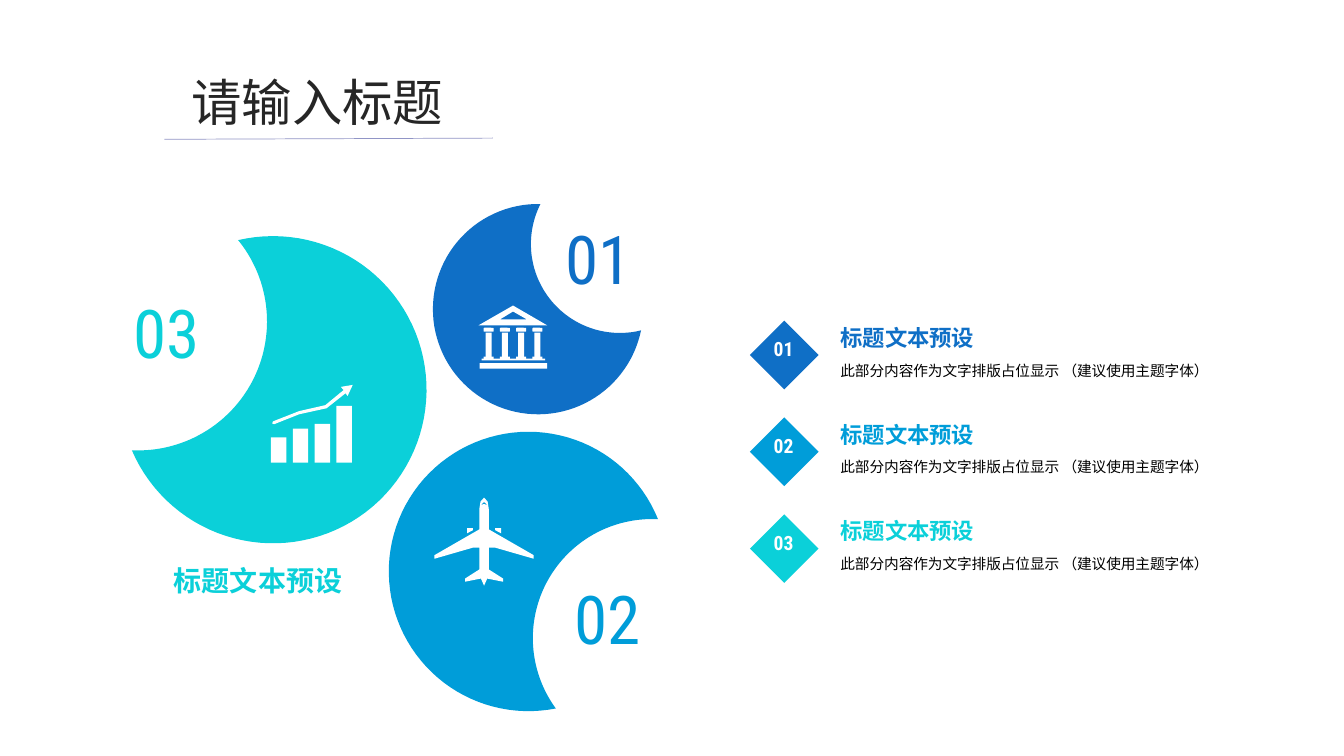
from dataclasses import dataclass
from math import acos, atan2, cos, hypot, pi, sin

from lxml.etree import SubElement
from pptx import Presentation
from pptx.dml.color import RGBColor
from pptx.enum.shapes import MSO_CONNECTOR as Connector, MSO_SHAPE as Shape
from pptx.enum.text import MSO_ANCHOR as Anchor, MSO_AUTO_SIZE as AutoSize, PP_ALIGN as Align
from pptx.oxml.ns import qn
from pptx.util import Cm, Pt


@dataclass(frozen=True)
class Theme:
    blue: str = "0F6FC6"
    azure: str = "009DD9"
    teal: str = "0BD0D9"
    white: str = "FFFFFF"
    black: str = "000000"
    title: str = "262626"
    rule: str = "9195C6"
    cjk_font: str = "Noto Sans CJK JP"
    body_font: str = "Calibri"
    number_font: str = "Roboto Condensed"
    title_size: float = 36
    number_size: float = 48
    caption_size: float = 20
    heading_size: float = 16
    badge_size: float = 14
    body_size: float = 10.5


THEME = Theme()
HEADING = "标题文本预设"
BODY = "此部分内容作为文字排版占位显示 （建议使用主题字体）"


# Text
def write(frame, text, size, color, font, bold=False, align=Align.LEFT, anchor=Anchor.TOP,
          wrap=False, insets=(0, 0, 0, 0), spacing=None):
    frame.word_wrap = wrap
    frame.auto_size = AutoSize.NONE
    frame.vertical_anchor = anchor
    frame.margin_left, frame.margin_top, frame.margin_right, frame.margin_bottom = map(Cm, insets)
    para = frame.paragraphs[0]
    para.alignment = align
    if spacing:
        para.line_spacing = spacing
    span = para.add_run()
    span.text = text
    span.font.size = Pt(size)
    span.font.bold = bold
    span.font.color.rgb = RGBColor.from_string(color)
    span.font.name = font
    SubElement(span.font._element, qn("a:ea"), typeface=THEME.cjk_font)


def add_text(page, place, text, size, color, font, **style):
    box = page.shapes.add_textbox(*map(Cm, place))
    write(box.text_frame, text, size, color, font, **style)


# Shapes
def paint(shape, color):
    shape.shadow.inherit = False
    shape.fill.solid()
    shape.fill.fore_color.rgb = RGBColor.from_string(color)
    shape.line.fill.background()


def add_block(page, place, color, kind=Shape.RECTANGLE):
    paint(page.shapes.add_shape(kind, *map(Cm, place)), color)


def add_outline(page, color, *contours):
    contours = [[(Cm(x), Cm(y)) for x, y in points] for points in contours]
    first, *holes = contours
    builder = page.shapes.build_freeform(*first[0])
    builder.add_line_segments(first[1:], close=True)
    for hole in holes:
        builder.move_to(*hole[0])
        builder.add_line_segments(hole[1:], close=True)
    paint(builder.convert_to_shape(), color)


def arc(center, radius, start, end, steps=80):
    angles = [start + (end - start) * step / steps for step in range(steps + 1)]
    return [(center[0] + radius * cos(a), center[1] + radius * sin(a)) for a in angles]


def add_crescent(page, color, disc, radius, bite, bite_radius):
    """Draw a disc with a second disc cut out of it."""
    dx, dy = bite[0] - disc[0], bite[1] - disc[1]
    gap, toward = hypot(dx, dy), atan2(dy, dx)
    outer = acos((radius**2 + gap**2 - bite_radius**2) / (2 * radius * gap))
    inner = acos((bite_radius**2 + gap**2 - radius**2) / (2 * bite_radius * gap))
    back = toward + pi
    rim = arc(disc, radius, toward + outer, toward + 2 * pi - outer)
    cut = arc(bite, bite_radius, back + inner, back - inner)
    add_outline(page, color, rim + cut[1:-1])


# Icons
def add_growth_icon(page):
    add_outline(page, THEME.white, [
        (6.91, 10.69), (7.54, 10.44), (8.23, 10.29), (8.71, 9.91), (8.76, 9.98), (8.89, 9.7),
        (8.59, 9.75), (8.66, 9.83), (8.2, 10.21), (7.54, 10.36), (6.88, 10.62), (6.86, 10.67)])
    for index, height in enumerate((0.64, 0.86, 0.98, 1.43)):
        add_block(page, (6.83 + 0.55 * index, 11.66 - height, 0.39, height), THEME.white)


def add_bank_icon(page):
    add_outline(page, THEME.white,
                [(12.93, 7.7), (12.06, 8.2), (13.79, 8.2)],
                [(12.93, 7.85), (13.28, 8.05), (12.6, 8.05)])
    for index in range(4):
        left = 12.19 + 0.41 * index
        add_block(page, (left, 8.26, 0.25, 0.1), THEME.white, Shape.ROUNDED_RECTANGLE)
        add_block(page, (left + 0.05, 8.38, 0.15, 0.63), THEME.white)
        add_block(page, (left, 8.99, 0.25, 0.07), THEME.white)
    add_block(page, (12.14, 9.04, 1.6, 0.04), THEME.white)
    add_block(page, (12.09, 9.15, 1.7, 0.14), THEME.white)


def add_plane_icon(page):
    axis = 12.2
    half = [(0, 12.54), (0.09, 12.64), (0.12, 12.83), (0.12, 13.34), (1.25, 13.99),
            (1.25, 14.08), (0.28, 13.8), (0.12, 13.8), (0.12, 14.35), (0.48, 14.58),
            (0.48, 14.66), (0.08, 14.58), (0, 14.76)]
    window = [(-0.09, 12.73), (0, 12.65), (0.09, 12.73), (0, 12.7)]
    engine = [(0.28, 13.36), (0.43, 13.44), (0.43, 13.31), (0.28, 13.31)]

    def place(points, side=1):
        return [(axis + side * x, y) for x, y in points]

    add_outline(page, THEME.white, place(half) + place(half[-2:0:-1], -1), place(window))
    for side in (-1, 1):
        add_outline(page, THEME.white, place(engine, side))


# Slide parts
def add_title(page):
    title = page.shapes.title
    title.left, title.top, title.width, title.height = map(Cm, (4.57, 1.65, 8.74, 1.8))
    write(title.text_frame, "请输入标题", THEME.title_size, THEME.title, THEME.cjk_font,
          wrap=True, insets=(0.25, 0.13, 0.25, 0.13))
    rule = page.shapes.add_connector(Connector.STRAIGHT, *map(Cm, (4.14, 3.51, 12.42, 3.48)))
    rule.line.color.rgb = RGBColor.from_string(THEME.rule)
    rule.line.width = Pt(0.5)
    SubElement(rule._element.spPr, qn("a:effectLst"))


def add_number(page, left, top, text, color):
    add_text(page, (left, top, 1.8, 2.06), text, THEME.number_size, color, THEME.number_font,
             align=Align.CENTER, anchor=Anchor.MIDDLE)


def add_entry(page, top, number, color):
    add_block(page, (18.9, top, 1.73, 1.73), color, Shape.DIAMOND)
    add_text(page, (19.23, top + 0.28, 1.04, 0.86), number, THEME.badge_size, THEME.white,
             THEME.number_font, bold=True, align=Align.CENTER, insets=(0.25, 0.13, 0.25, 0.13))
    add_text(page, (20.19, top + 0.07, 11, 0.69), HEADING, THEME.heading_size, color,
             THEME.body_font, bold=True, anchor=Anchor.BOTTOM, insets=(0.99, 0, 0, 0))
    add_text(page, (20.19, top + 0.76, 11, 0.89), BODY, THEME.body_size, THEME.black,
             THEME.body_font, anchor=Anchor.MIDDLE, wrap=True, insets=(0.99, 0, 0, 0),
             spacing=1.2)


def main():
    deck = Presentation()
    deck.slide_width, deck.slide_height = Cm(33.87), Cm(19.05)
    page = deck.slides.add_slide(deck.slide_layouts[5])
    add_title(page)

    # Crescents with their numbers and icons
    add_crescent(page, THEME.teal, (6.88, 9.82), 3.87, (3.48, 8.1), 3.25)
    add_crescent(page, THEME.blue, (13.56, 7.79), 2.65, (15.62, 6.15), 2.24)
    add_crescent(page, THEME.azure, (13.32, 14.4), 3.52, (16.43, 16.08), 3)
    add_number(page, 14.19, 5.46, "01", THEME.blue)
    add_number(page, 14.42, 14.53, "02", THEME.azure)
    add_number(page, 3.29, 7.34, "03", THEME.teal)
    add_text(page, (4.37, 14.2, 4.27, 0.86), HEADING, THEME.caption_size, THEME.teal,
             THEME.body_font, bold=True, align=Align.CENTER)
    add_growth_icon(page)
    add_bank_icon(page)
    add_plane_icon(page)

    # Numbered list
    for index, color in enumerate((THEME.blue, THEME.azure, THEME.teal)):
        add_entry(page, 8.08 + 2.44 * index, f"{index + 1:02}", color)

    deck.save("out.pptx")


if __name__ == "__main__":
    main()
